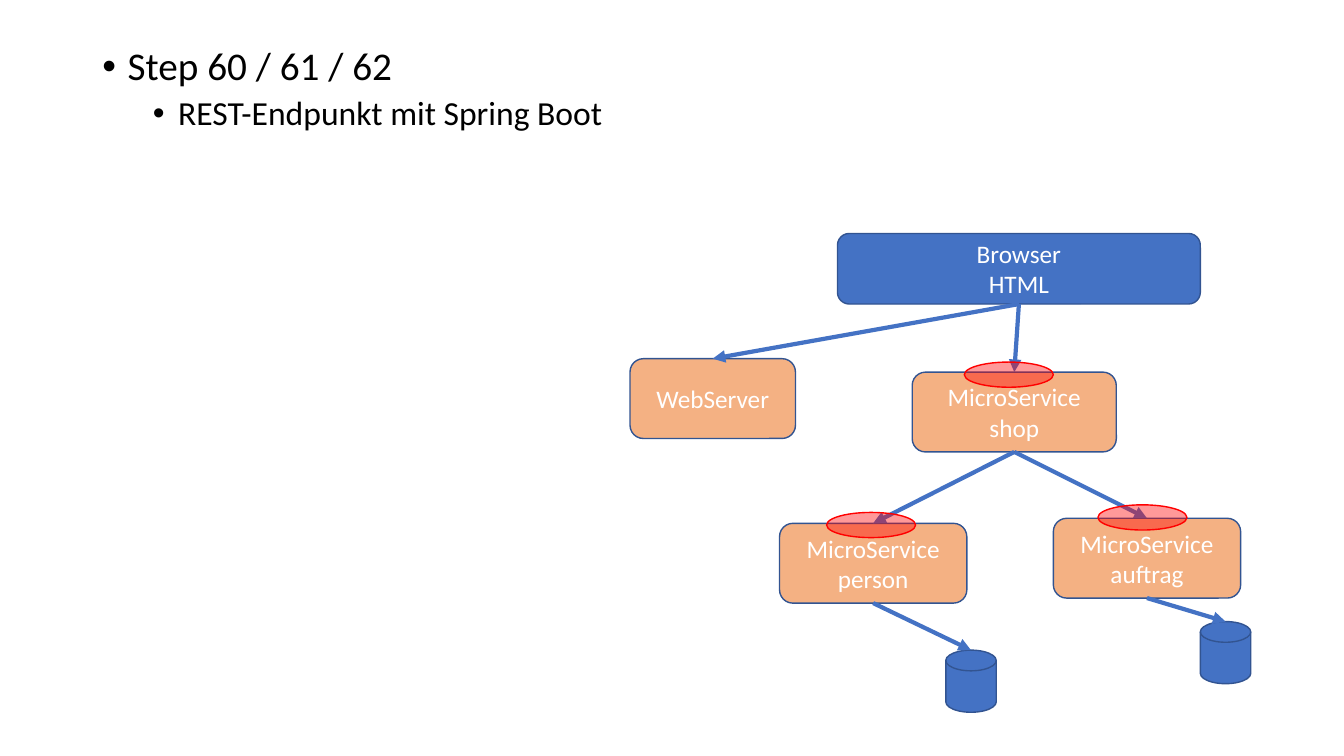
from lxml import etree
from pptx import Presentation
from pptx.dml.color import RGBColor
from pptx.enum.shapes import MSO_CONNECTOR, MSO_SHAPE
from pptx.enum.text import MSO_ANCHOR, PP_ALIGN
from pptx.oxml.ns import qn
from pptx.util import Inches, Pt

ROUNDED = MSO_SHAPE.ROUNDED_RECTANGLE
DISK = MSO_SHAPE.FLOWCHART_MAGNETIC_DISK
OVAL = MSO_SHAPE.OVAL
STRAIGHT = MSO_CONNECTOR.STRAIGHT
MIDDLE, TOP = MSO_ANCHOR.MIDDLE, MSO_ANCHOR.TOP
CENTER = PP_ALIGN.CENTER

BLUE = RGBColor(0x44, 0x72, 0xC4)
OUTLINE = RGBColor(0x32, 0x54, 0x91)
ORANGE = RGBColor(0xF4, 0xB1, 0x83)
RED = RGBColor(0xFF, 0x00, 0x00)
WHITE = RGBColor(0xFF, 0xFF, 0xFF)
BLACK = RGBColor(0x00, 0x00, 0x00)

COLUMNS, ROWS = 160, 90
SERVICE_HEIGHT = 9.5
DISK_SIZE = (6, 7.4)
ENDPOINT_SIZE = (10.6, 3)


class ArchitectureSlide:
    """Draws the parts of an architecture slide on a grid in one style."""

    font = "Calibri"

    def __init__(self, presentation):
        self.slide = presentation.slides.add_slide(presentation.slide_layouts[1])
        self.column = presentation.slide_width / COLUMNS
        self.row = presentation.slide_height / ROWS
        title = self.slide.shapes.title
        title.element.getparent().remove(title.element)

    def place(self, left, top, width, height):
        return (round(left * self.column), round(top * self.row),
                round(width * self.column), round(height * self.row))

    def add_run(self, paragraph, text, size, color):
        run = paragraph.add_run()
        run.text = text
        run.font.name = self.font
        run.font.size = Pt(size)
        run.font.color.rgb = color

    def bullets(self, area, items):
        body = self.slide.placeholders[1]
        body.left, body.top, body.width, body.height = self.place(*area)
        frame = body.text_frame
        frame.vertical_anchor = TOP
        for number, (text, level, size, space) in enumerate(items):
            paragraph = frame.add_paragraph() if number else frame.paragraphs[0]
            paragraph.level = level
            paragraph.line_spacing = 0.9
            paragraph.space_before = Pt(space)
            properties = paragraph._p.get_or_add_pPr()
            properties.set("marL", str(Inches(0.25 + 0.5 * level)))
            properties.set("indent", str(Inches(-0.25)))
            etree.SubElement(properties, qn("a:buFont")).set("typeface", "Arial")
            etree.SubElement(properties, qn("a:buChar")).set("char", "•")
            self.add_run(paragraph, text, size, BLACK)

    def block(self, kind, area, fill, line=OUTLINE):
        shape = self.slide.shapes.add_shape(kind, *self.place(*area))
        shape.shadow.inherit = False
        shape.fill.solid()
        shape.fill.fore_color.rgb = fill
        shape.line.color.rgb = line
        shape.line.width = Pt(1)
        return shape

    def node(self, area, lines, fill=ORANGE):
        shape = self.block(ROUNDED, area, fill)
        frame = shape.text_frame
        frame.word_wrap = True
        frame.vertical_anchor = MIDDLE
        paragraph = frame.paragraphs[0]
        paragraph.alignment = CENTER
        for number, text in enumerate(lines):
            if number:
                paragraph.add_line_break()
            self.add_run(paragraph, text, 18, WHITE)
        return shape

    def database(self, left, top):
        return self.block(DISK, (left, top, *DISK_SIZE), BLUE)

    def endpoint(self, left, top):
        shape = self.block(OVAL, (left, top, *ENDPOINT_SIZE), RED, RED)
        color = shape.fill._xPr.find(qn("a:solidFill"))[0]
        etree.SubElement(color, qn("a:alpha")).set("val", "40000")

    def arrow(self, source, target):
        connector = self.slide.shapes.add_connector(STRAIGHT, 0, 0, 0, 0)
        top_site = 1 if target.auto_shape_type == DISK else 0
        connector.begin_connect(source, 2)
        connector.end_connect(target, top_site)
        connector.end_x = target.left + target.width // 2
        connector.end_y = target.top
        connector.line.color.rgb = BLUE
        connector.line.width = Pt(3)
        line = connector.line._get_or_add_ln()
        etree.SubElement(line, qn("a:tailEnd")).set("type", "triangle")
        etree.SubElement(connector._element.spPr, qn("a:effectLst"))


def main():
    presentation = Presentation()
    presentation.slide_width = Inches(13.33)
    presentation.slide_height = Inches(7.5)
    page = ArchitectureSlide(presentation)

    page.bullets((11, 5, 138, 76), [
        ("Step 60 / 61 / 62", 0, 28, 10),
        ("REST-Endpunkt mit Spring Boot", 1, 24, 5),
    ])

    browser = page.node((99.7, 27.8, 43.2, 8.4), ["Browser", "HTML"], BLUE)
    web_server = page.node((75, 42.7, 19.7, SERVICE_HEIGHT), ["WebServer"])
    shop, person, order = (
        page.node((left, top, width, SERVICE_HEIGHT), ["MicroService", name])
        for left, top, width, name in [
            (108.6, 44.3, 24.3, "shop"),
            (92.8, 62.3, 22.3, "person"),
            (125.4, 61.7, 22.3, "auftrag"),
        ])
    person_data = page.database(112.6, 77.4)
    order_data = page.database(142.9, 74)

    for source, target in [
        (browser, web_server), (browser, shop),
        (shop, person), (shop, order),
        (person, person_data), (order, order_data),
    ]:
        page.arrow(source, target)

    for left, top in [(130.7, 60.1), (98.4, 61), (114.8, 43.1)]:
        page.endpoint(left, top)

    presentation.save("out.pptx")


if __name__ == "__main__":
    main()
